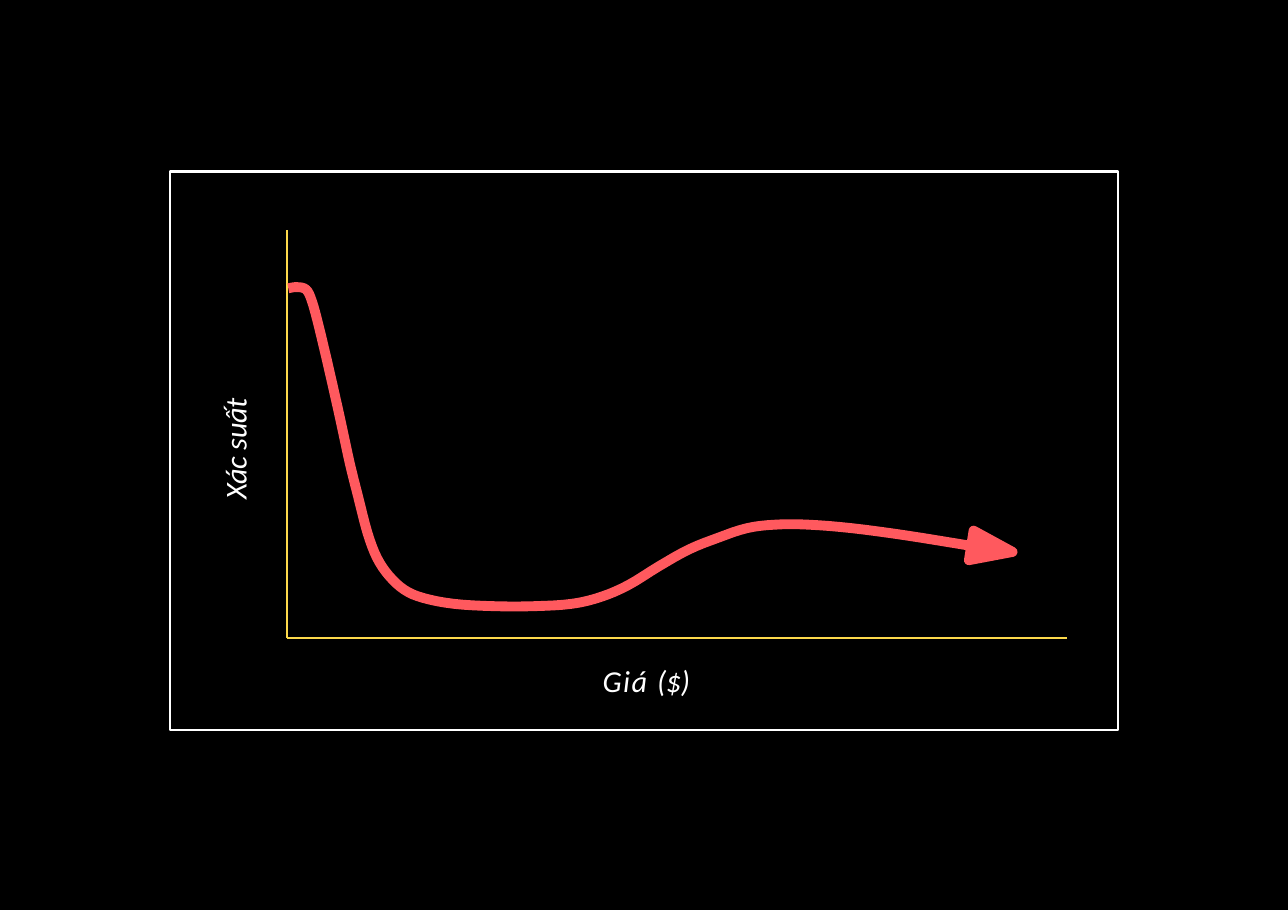
from pptx import Presentation
from pptx.dml.color import RGBColor
from pptx.enum.shapes import MSO_CONNECTOR, MSO_SHAPE
from pptx.enum.text import MSO_ANCHOR, PP_ALIGN
from pptx.oxml.ns import qn
from pptx.util import Inches, Pt
from lxml.etree import SubElement

BLACK, WHITE, YELLOW, RED = "000000", "FFFFFF", "FCD94B", "FF595E"
FRAME = (1.44, 1.45, 8.02, 4.73)
ORIGIN = (2.43, 5.4)
AXIS_ENDS = [(2.43, 1.95), (9.03, 5.4)]
LABELS = [
    {"box": (1.83, 3, 0.31, 1.23), "vert": "vert270", "runs": [("Xác suất", -0.1)]},
    {"box": (5.1, 5.58, 0.96, 0.33), "vert": "horz", "runs": [("Giá ", 0.9), ("($)", -0.2)]},
]
CURVE = [
    (2.44, 2.44), (2.51, 2.43), (2.59, 2.45), (2.64, 2.55), (2.7, 2.77),
    (2.79, 3.15), (2.88, 3.55), (2.96, 3.92), (3.03, 4.2), (3.11, 4.51),
    (3.19, 4.72), (3.29, 4.87), (3.42, 4.99), (3.58, 5.06), (3.84, 5.11),
    (4.18, 5.13), (4.52, 5.13), (4.84, 5.11), (5.09, 5.05), (5.32, 4.95),
    (5.58, 4.79), (5.83, 4.65), (6.08, 4.55), (6.32, 4.47), (6.56, 4.44),
    (6.84, 4.44), (7.21, 4.47), (7.66, 4.53), (8.22, 4.62),
]
ARROW_TIP = [(8.2, 4.74), (8.24, 4.49), (8.57, 4.67)]
STEPS = 4


def color(value):
    return RGBColor.from_string(value)


def spline(a, b, c, d, t):
    return (2 * b + (c - a) * t + (2 * a - 5 * b + 4 * c - d) * t ** 2
            + (3 * b - a - 3 * c + d) * t ** 3) / 2


def smooth(points):
    ends = [points[0], *points, points[-1]]
    curve = [
        tuple(spline(*values, step / STEPS) for values in zip(*ends[i:i + 4]))
        for i in range(len(points) - 1)
        for step in range(STEPS)
    ]
    return curve + [points[-1]]


def style(shape, line, width, fill=None):
    shape.shadow.inherit = False
    if fill:
        shape.fill.solid()
        shape.fill.fore_color.rgb = color(fill)
    else:
        shape.fill.background()
    shape.line.color.rgb = color(line)
    shape.line.width = Pt(width)
    SubElement(shape.line._get_or_add_ln(), qn("a:round"))


def outline(points, close):
    start, *rest = [(Inches(x), Inches(y)) for x, y in points]
    builder = slide.shapes.build_freeform(*start)
    builder.add_line_segments(rest, close=close)
    return builder.convert_to_shape()


def add_label(box, vert, runs):
    label = slide.shapes.add_textbox(*map(Inches, box))
    frame = label.text_frame
    frame.word_wrap = True
    frame.vertical_anchor = MSO_ANCHOR.TOP
    frame.margin_left = frame.margin_right = frame.margin_bottom = 0
    frame.margin_top = Inches(0.02)
    frame._txBody.bodyPr.set("vert", vert)
    paragraph = frame.paragraphs[0]
    paragraph.alignment = PP_ALIGN.LEFT
    font = paragraph.font
    font.name, font.size, font.italic = "Calibri", Pt(18.5), True
    font.color.rgb = color(WHITE)
    for text, spacing in runs:
        run = paragraph.add_run()
        run.text = text
        run._r.get_or_add_rPr().set("spc", str(round(spacing * 100)))


prs = Presentation()
prs.slide_width, prs.slide_height = Inches(10.9), Inches(7.7)
slide = prs.slides.add_slide(prs.slide_layouts[6])
slide.background.fill.solid()
slide.background.fill.fore_color.rgb = color(BLACK)

for label in LABELS:
    add_label(**label)

for end in AXIS_ENDS:
    axis = slide.shapes.add_connector(MSO_CONNECTOR.STRAIGHT, *map(Inches, ORIGIN + end))
    axis.line.color.rgb = color(YELLOW)
    axis.line.width = Pt(1.5)
    SubElement(axis._element.spPr, qn("a:effectLst"))

style(outline(smooth(CURVE), False), RED, 6)
style(outline(ARROW_TIP, True), RED, 6, RED)
style(slide.shapes.add_shape(MSO_SHAPE.RECTANGLE, *map(Inches, FRAME)), WHITE, 1.5)

prs.save("out.pptx")
